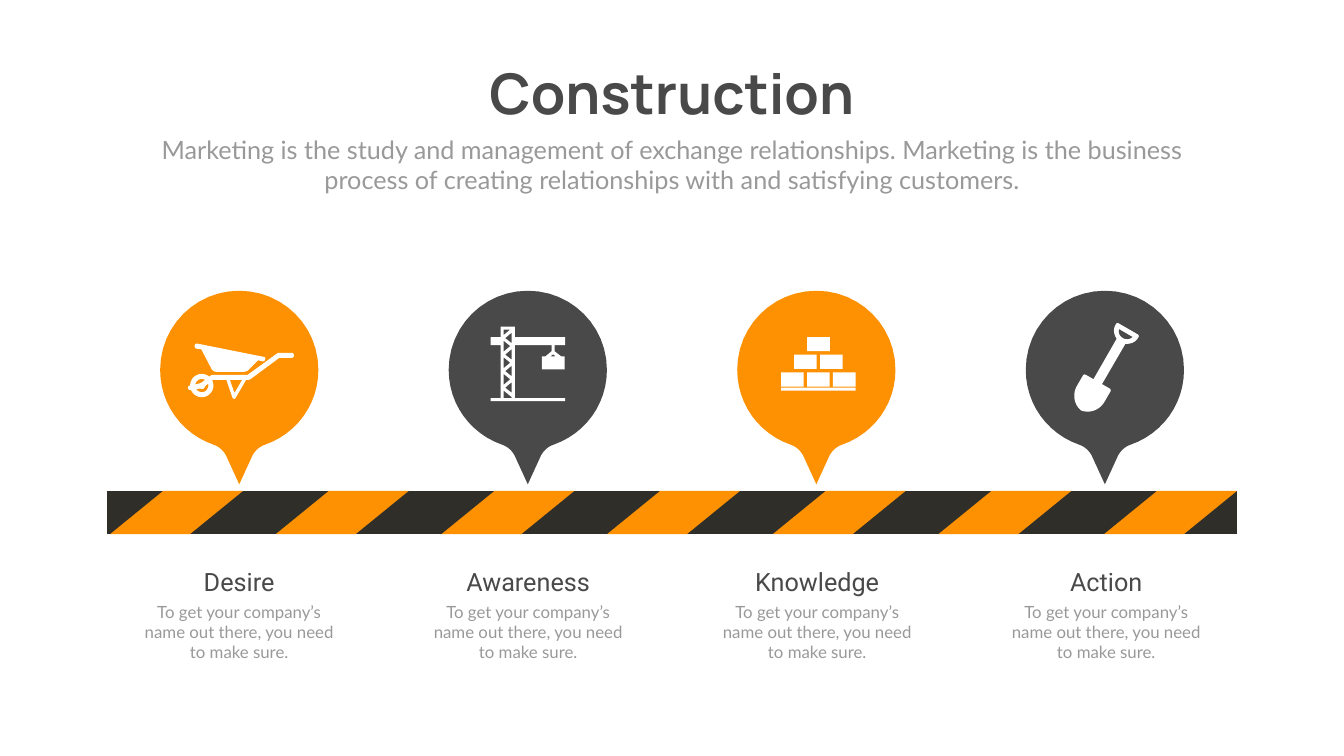
from pptx import Presentation
from pptx.dml.color import RGBColor as RGB
from pptx.enum.text import MSO_ANCHOR as Anchor, MSO_AUTO_SIZE as AutoSize, PP_ALIGN as Align
from pptx.util import Pt

ORANGE = RGB(0xFE, 0x91, 0x01)
CHARCOAL = RGB(0x49, 0x49, 0x49)
TAPE = RGB(0x30, 0x2E, 0x29)
GREY = RGB(0x99, 0x99, 0x99)
WHITE = RGB(0xFF, 0xFF, 0xFF)

TITLE_FONT = {"name": "Manrope", "size": Pt(80), "bold": True}
SUBTITLE_FONT = {"name": "Lato", "size": Pt(36)}
LABEL_FONT = {"name": "Roboto", "size": Pt(36)}
DETAIL_FONT = {"name": "Lato", "size": Pt(24)}

SUBTITLE = ("Marketing is the study and management of exchange relationships. "
            "Marketing is the business process of creating relationships with and satisfying customers.")
DETAIL = "To get your company’s name out there, you need to make sure."


def trace(*steps):
    """Turn points and cubic curves (six numbers) into a list of points."""
    points = []
    for step in steps:
        if len(step) == 2:
            points.append(step)
            continue
        x0, y0 = points[-1]
        x1, y1, x2, y2, x3, y3 = step
        for n in range(1, 13):
            t = n / 12
            a, b, c, d = (1 - t) ** 3, 3 * t * (1 - t) ** 2, 3 * t * t * (1 - t), t ** 3
            points.append((a * x0 + b * x1 + c * x2 + d * x3, a * y0 + b * y1 + c * y2 + d * y3))
    return points


def mirrored(half, axis):
    """Close a half outline with its reflection about a vertical axis."""
    return half + [(2 * axis - x, y) for x, y in reversed(half)]


def circle(x, y, r):
    """Return the outline of a circle."""
    k = 0.5523 * r
    return mirrored(trace((x, y - r), (x + k, y - r, x + r, y - k, x + r, y),
                          (x + r, y + k, x + k, y + r, x, y + r)), x)


def rectangle(x, y, width, height):
    """Return the outline of a rectangle."""
    return [(x, y), (x + width, y), (x + width, y + height), (x, y + height)]


def draw(slide, left, top, colour, *outlines):
    """Draw outlines as one filled freeform, later ones cutting holes in the first."""
    scaled = [[(100 * x, 100 * y) for x, y in outline] for outline in outlines]
    builder = slide.shapes.build_freeform(*scaled[0][0], scale=Pt(1) / 100)
    for index, outline in enumerate(scaled):
        if index:
            builder.move_to(*outline[0])
        builder.add_line_segments(outline[1:], close=True)
    drawn = builder.convert_to_shape(Pt(left), Pt(top))
    drawn.shadow.inherit = False
    drawn.fill.solid()
    drawn.fill.fore_color.rgb = colour
    drawn.line.fill.background()
    return drawn


def write(holder, words, font, colour, wrap=True):
    """Fill a text holder with one centred, formatted paragraph."""
    frame = holder.text_frame
    frame.text = words
    for name, value in {"word_wrap": wrap, "auto_size": AutoSize.SHAPE_TO_FIT_TEXT,
                        "vertical_anchor": Anchor.TOP}.items():
        setattr(frame, name, value)
    paragraph = frame.paragraphs[0]
    paragraph.alignment = Align.CENTER
    for name, value in font.items():
        setattr(paragraph.font, name, value)
    paragraph.font.color.rgb = colour


def add_heading(slide, left, top, width):
    """Place the title and the subtitle below it."""
    title = slide.shapes.title
    frame = {"left": left + (width - 560) / 2, "top": top, "width": 560, "height": 104.4}
    for name, value in frame.items():
        setattr(title, name, Pt(value))
    write(title, "Construction", TITLE_FONT, CHARCOAL, wrap=False)
    subtitle = slide.shapes.add_textbox(Pt(left), Pt(top + 107.3), Pt(width), Pt(94))
    write(subtitle, SUBTITLE, SUBTITLE_FONT, GREY)


def add_tape(slide, left, top, width, height):
    """Draw the dark barrier tape with its seven slanted stripes."""
    draw(slide, left, top, TAPE, rectangle(0, 0, width, height))
    for n in range(7):
        draw(slide, left + 4.5 + 236.6 * n, top, ORANGE,
             [(76, 0), (0, height), (114, height), (190, 0)])


def add_pin(slide, left, top, colour):
    """Draw a round map pin."""
    draw(slide, left, top, colour, mirrored(trace(
        (113, 0), (175.5, 0, 226, 50.5, 226, 113), (226, 161.5, 195.5, 204, 149.5, 220),
        (142, 222.5, 136, 228, 132, 235), (113, 276.5)), 113))


def add_wheelbarrow(slide, left, top):
    """Draw the wheel, frame and tray of a wheelbarrow."""
    draw(slide, left, top, WHITE, circle(59.5, 135.4, 16.6), circle(59.5, 135.4, 9.4))
    frame = trace(
        (187.6, 88.6), (169.6, 88.6), (167.4, 89.3), (124.9, 120.2), (74.5, 120.2), (72.4, 121),
        (59.4, 131), (55.8, 132.5), (42.8, 135.4), (40.7, 135.4, 39.2, 137.5, 40, 139),
        (40, 141, 41.4, 141.8, 43.6, 141.8), (57.2, 139.7), (59.4, 140.4),
        (61.6, 140.4, 63.7, 139, 64.4, 136.1), (75.2, 127.4), (94.7, 127.4), (103.3, 152.6),
        (105.5, 154.8), (107.6, 153.4), (122.8, 127.4), (126.4, 127.4), (128.5, 126.7),
        (170.3, 95.8), (187.6, 95.8), (189.7, 95.8, 191.2, 94.3, 191.2, 92.2),
        (191.2, 90.7, 189.7, 88.6, 187.6, 88.6))
    draw(slide, left, top, WHITE, frame, [(106.2, 146.2), (99.7, 127.4), (117, 127.4)])
    draw(slide, left, top, WHITE, trace(
        (147.2, 94.3), (53.6, 75.6), (51.5, 74.9, 49.3, 76.3, 49.3, 78.5),
        (48.6, 79.9, 50, 82.1, 52.2, 82.8), (58.7, 83.5), (73.8, 112.3),
        (75.2, 114.5, 77.4, 115.2, 79.6, 115.9), (119.9, 115.9),
        (122.8, 115.2, 125, 114.5, 126.4, 113), (140, 99.4), (146.5, 100.8),
        (148.7, 100.8, 150.1, 99.4, 150.1, 97.2), (150.8, 95.8, 149.4, 94.3, 147.2, 94.3)))


def add_crane(slide, left, top):
    """Draw a tower crane with a lattice mast and a hanging load."""
    crane = [
        (106.6, 15.1), (34.6, 15.1), (34.6, 0), (14.4, 0), (14.4, 15.1), (0, 15.1), (0, 26.6),
        (14.4, 26.6), (14.4, 102.2), (0, 102.2), (0, 106.6), (106.6, 106.6), (106.6, 102.2),
        (34.6, 102.2), (34.6, 26.6), (87.1, 26.6), (87.1, 35.3), (78.5, 42.5), (73.4, 42.5),
        (73.4, 61.2), (105.8, 61.2), (105.8, 42.5), (100.8, 42.5), (91.4, 35.3), (91.4, 26.6),
        (106.6, 26.6)]
    left_gaps = [[(18.7, y), (28.1, y + 7.7), (18.7, y + 15.7)] for y in (20.2, 43.9, 67.6)]
    right_gaps = [[(30.2, y), (20.9, y + 7.9), (30.2, y + 15.3)]
                  for y in (8.6 + 23.6 * n for n in range(4))]
    top_gap = [(18.7, 4.3), (28.1, 4.3), (18.7, 12.2)]
    foot_gap = [(18.7, 102.2), (18.7, 91.4), (30.2, 100.8), (30.2, 102.2)]
    hook_gap = [(92.9, 42.5), (85.7, 42.5), (89.3, 39.6)]
    draw(slide, left + 59.8, top + 51.1, WHITE, crane, top_gap, *left_gaps, *right_gaps,
         foot_gap, hook_gap)


def add_bricks(slide, left, top):
    """Draw a three-row stack of bricks on a base line."""
    bricks = [rectangle(18.6 * (2 - row) + 37.1 * n, 25.2 * row, 32.4, 20.2)
              for row in range(3) for n in range(row + 1)]
    draw(slide, left + 62.6, top + 66.2, WHITE, *bricks, rectangle(0, 72, 106.6, 4.3))


def add_shovel(slide, left, top):
    """Draw a tilted shovel with an open handle."""
    blade = trace(
        (0, 0), (15.5, 0), (18, 0, 18.7, 1.5, 18.6, 4), (18.7, 11, 14, 17.3, 7.2, 20.5),
        (7, 87.1), (19.4, 87.1), (21.5, 87.1, 22.7, 88.3, 22.7, 90.3), (22.7, 107),
        (22.7, 119.5, 15, 130, 3.8, 133.7), (0, 134.6))
    grip = trace((0, 6.8), (11.2, 6.8), (9.9, 12, 5.5, 15.2, 0, 15.2))
    shovel = draw(slide, left + 112.7, top + 45.4, WHITE, mirrored(blade, 0), mirrored(grip, 0))
    shovel.rotation = 30


def add_caption(slide, left, top, width, label):
    """Place a stage label and the detail below it."""
    heading = slide.shapes.add_textbox(Pt(left + 25), Pt(top), Pt(width - 50), Pt(51))
    write(heading, label, LABEL_FONT, CHARCOAL)
    detail = slide.shapes.add_textbox(Pt(left), Pt(top + 51), Pt(width), Pt(94))
    write(detail, DETAIL, DETAIL_FONT, GREY)


def main():
    """Build the construction slide."""
    deck = Presentation()
    deck.slide_width, deck.slide_height = Pt(1919.52), Pt(1080)
    slide = deck.slides.add_slide(deck.slide_layouts[5])
    add_heading(slide, 210.2, 80.6, 1499)
    add_tape(slide, 152.6, 701.3, 1614.2, 61.9)
    stages = [("Desire", ORANGE, add_wheelbarrow), ("Awareness", CHARCOAL, add_crane),
              ("Knowledge", ORANGE, add_bricks), ("Action", CHARCOAL, add_shovel)]
    for n, (label, colour, add_icon) in enumerate(stages):
        pin_left = 228.7 + 412.1 * n
        add_pin(slide, pin_left, 415.4, colour)
        add_icon(slide, pin_left, 415.4)
        add_caption(slide, 199 + 412.8 * n, 805, 285, label)
    deck.save("out.pptx")


if __name__ == "__main__":
    main()
